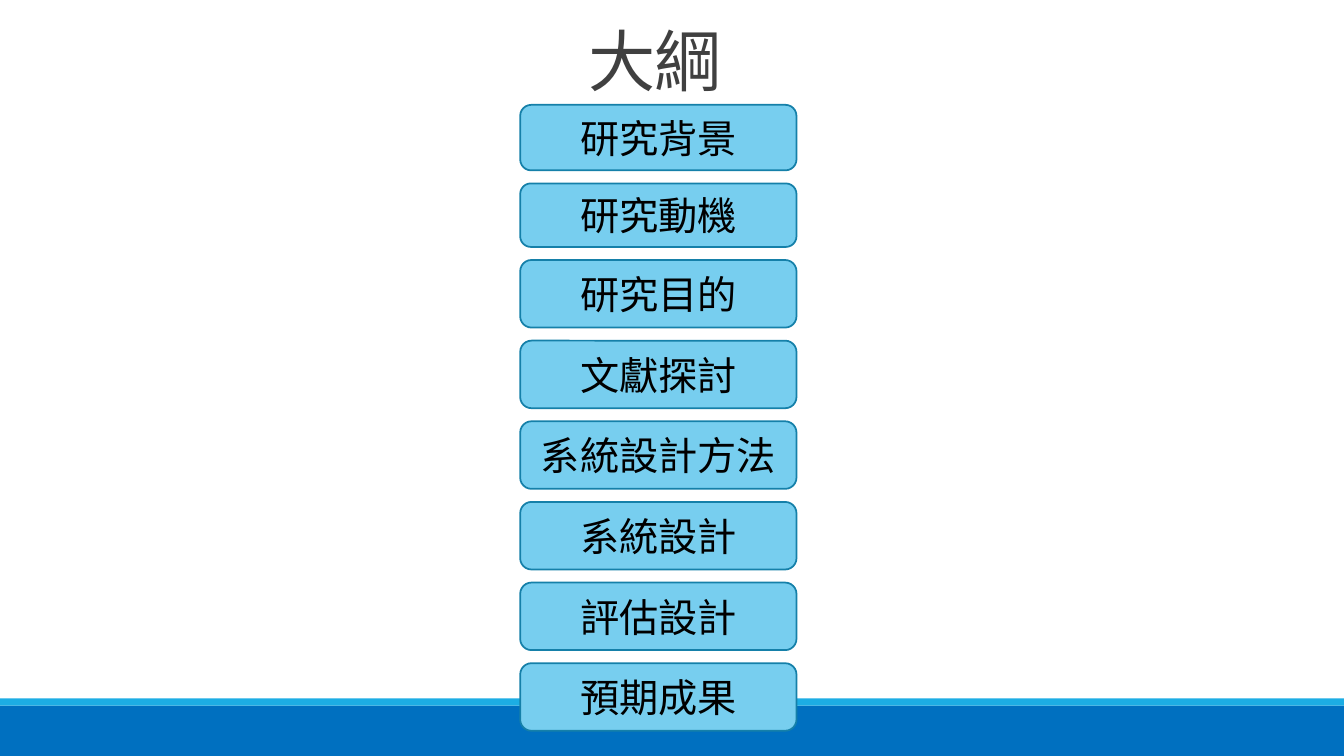
from pptx import Presentation
from pptx.dml.color import RGBColor
from pptx.enum import lang, shapes, text
from pptx.util import Inches, Pt

FONT = "Calibri"
BLACK = RGBColor(0x00, 0x00, 0x00)
TITLE_GREY = RGBColor(0x40, 0x40, 0x40)
FOOTER_BLUE = RGBColor(0x00, 0x70, 0xC0)
ACCENT_BLUE = RGBColor(0x1C, 0xAD, 0xE4)
BOX_FILL = RGBColor(0x77, 0xCE, 0xEF)
BOX_LINE = RGBColor(0x15, 0x80, 0xA9)

SLIDE_WIDTH, SLIDE_HEIGHT = 13.33, 7.5
TOPIC_LEFT, TOPIC_TOP, TOPIC_WIDTH, TOPIC_GAP = 5.16, 1.04, 2.74, 0.13
TOPIC_HEIGHT = 0.67
TOPICS = [
    ("研究背景", 0.65),
    ("研究動機", 0.63),
    ("研究目的", TOPIC_HEIGHT),
    ("文獻探討", TOPIC_HEIGHT),
    ("系統設計方法", TOPIC_HEIGHT),
    ("系統設計", TOPIC_HEIGHT),
    ("評估設計", TOPIC_HEIGHT),
    ("預期成果", TOPIC_HEIGHT),
]


def add_filled_shape(page, kind, left, top, width, height, fill):
    shape = page.shapes.add_shape(
        kind, Inches(left), Inches(top), Inches(width), Inches(height))
    shape.shadow.inherit = False
    shape.fill.solid()
    shape.fill.fore_color.rgb = fill
    return shape


def add_band(page, top, height, fill):
    """Add a borderless stripe across the full slide width."""
    band = add_filled_shape(page, shapes.MSO_SHAPE.RECTANGLE,
                            0, top, SLIDE_WIDTH, height, fill)
    band.line.fill.background()


def write_centred(shape, wording, size, colour, anchor):
    frame = shape.text_frame
    frame.word_wrap = True
    frame.vertical_anchor = anchor
    para = frame.paragraphs[0]
    para.alignment = text.PP_ALIGN.CENTER
    span = para.add_run()
    span.text = wording
    span.font.name = FONT
    span.font.size = Pt(size)
    span.font.color.rgb = colour
    span.font.language_id = lang.MSO_LANGUAGE_ID.TRADITIONAL_CHINESE
    return para


def add_title(page, wording):
    box = page.shapes.add_textbox(
        Inches(4.12), Inches(-0.37), Inches(4.76), Inches(1.41))
    para = write_centred(box, wording, 48, TITLE_GREY, text.MSO_ANCHOR.BOTTOM)
    para.line_spacing = 0.85
    para.runs[0].font._element.set("spc", "-50")


def add_topic(page, wording, top, height):
    box = add_filled_shape(page, shapes.MSO_SHAPE.ROUNDED_RECTANGLE,
                           TOPIC_LEFT, top, TOPIC_WIDTH, height, BOX_FILL)
    box.line.color.rgb = BOX_LINE
    box.line.width = Pt(1.25)
    write_centred(box, wording, 28, BLACK, text.MSO_ANCHOR.MIDDLE)


def main():
    deck = Presentation()
    deck.slide_width = Inches(SLIDE_WIDTH)
    deck.slide_height = Inches(SLIDE_HEIGHT)
    page = deck.slides.add_slide(deck.slide_layouts[6])

    add_band(page, 7, 0.5, FOOTER_BLUE)
    add_band(page, 6.93, 0.07, ACCENT_BLUE)
    add_title(page, "大綱")
    top = TOPIC_TOP
    for wording, height in TOPICS:
        add_topic(page, wording, top, height)
        top += height + TOPIC_GAP

    deck.save("out.pptx")


if __name__ == "__main__":
    main()
